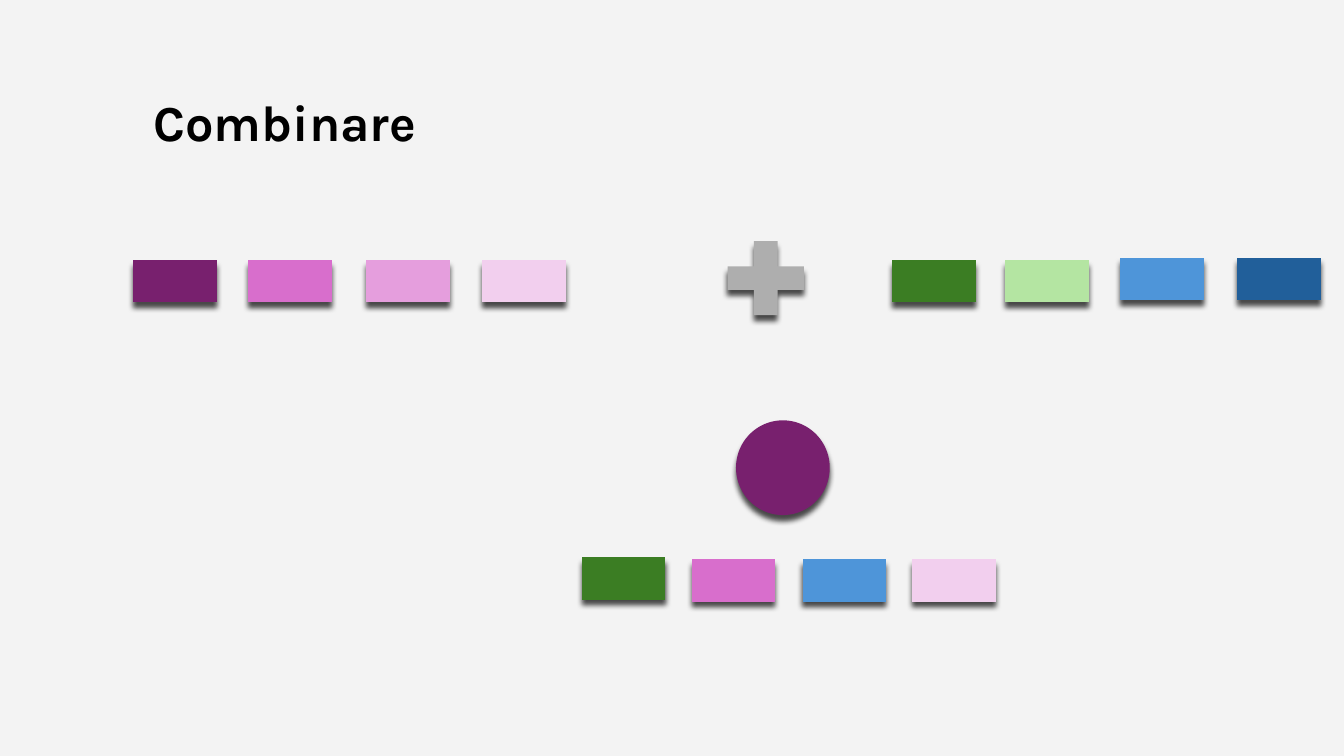
"""Build the "Combinare" slide: two colour palettes merged into a new one."""
import pptx
import pptx.util
import pptx.dml.color
import pptx.enum.shapes
import pptx.enum.text
import pptx.oxml

Inches = pptx.util.Inches
RGB = pptx.dml.color.RGBColor.from_string
MSO = pptx.enum.shapes.MSO_SHAPE

COLORS = {
    "background": "F3F3F3", "text": "000000", "plus": "AEAEAE",
    "plum": "78206E", "orchid": "D86ECC", "pink": "E59EDD", "blush": "F2CFEE",
    "green": "3B7D23", "mint": "B4E5A2", "sky": "4E95D9", "navy": "215F9A",
}
SHADOW = (
    '<a:effectLst xmlns:a="http://schemas.openxmlformats.org/drawingml/2006/main">'
    '<a:outerShdw blurRad="50800" dist="50800" dir="5400000" algn="ctr" rotWithShape="0">'
    '<a:srgbClr val="000000"><a:alpha val="70000"/></a:srgbClr>'
    '</a:outerShdw></a:effectLst>'
)


def add_shadowed(kind, color, left, top, width, height):
    sp = s.shapes.add_shape(kind, Inches(left), Inches(top), Inches(width), Inches(height))
    sp.fill.solid()
    sp.fill.fore_color.rgb = RGB(COLORS[color])
    sp.line.fill.background()
    sp._element.spPr.append(pptx.oxml.parse_xml(SHADOW))


prs = pptx.Presentation()
prs.slide_width, prs.slide_height = Inches(13.33), Inches(7.5)
s = prs.slides.add_slide(prs.slide_layouts[5])
s.background.fill.solid()
s.background.fill.fore_color.rgb = RGB(COLORS["background"])

title = s.shapes.title
title.left, title.top = Inches(1.42), Inches(0.85)
title.width, title.height = Inches(2.92), Inches(0.71)
tf = title.text_frame
tf.word_wrap = False
tf.auto_size = pptx.enum.text.MSO_AUTO_SIZE.SHAPE_TO_FIT_TEXT
tf.vertical_anchor = pptx.enum.text.MSO_ANCHOR.TOP
p = tf.paragraphs[0]
p.alignment = pptx.enum.text.PP_ALIGN.LEFT
r = p.add_run()
r.text = "Combinare"
r.font.name = "Karla"
r.font.size = pptx.util.Pt(36)
r.font.bold = True
r.font.color.rgb = RGB(COLORS["text"])

swatches = [
    ("plum", 1.32, 2.58), ("orchid", 2.46, 2.58), ("pink", 3.63, 2.58), ("blush", 4.78, 2.58),
    ("green", 8.85, 2.58), ("mint", 9.97, 2.58), ("sky", 11.11, 2.56), ("navy", 12.27, 2.56),
    ("green", 5.77, 5.53), ("orchid", 6.86, 5.55), ("sky", 7.96, 5.55), ("blush", 9.05, 5.55),
]
for color, left, top in swatches:
    add_shadowed(MSO.FLOWCHART_PROCESS, color, left, top, 0.83, 0.42)

add_shadowed(MSO.MATH_PLUS, "plus", 7.08, 2.26, 1.03, 1)
add_shadowed(MSO.FLOWCHART_CONNECTOR, "plum", 7.3, 4.17, 0.93, 0.94)

prs.save("out.pptx")
